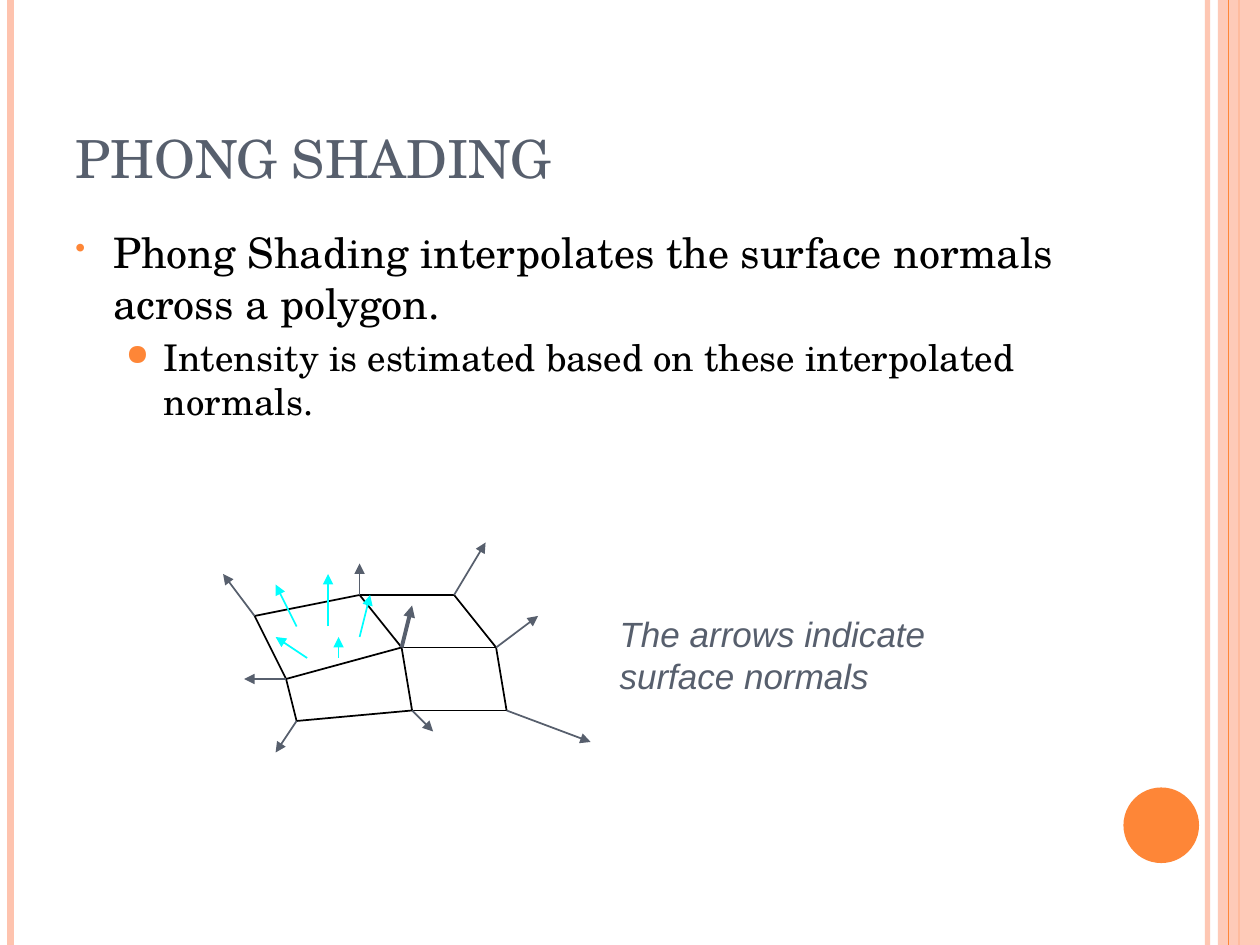
"""Build a slide that explains Phong shading with a mesh and its surface normals."""
from typing import NamedTuple

from lxml.etree import SubElement
from pptx import Presentation
from pptx.dml.color import RGBColor
from pptx.enum.shapes import MSO_CONNECTOR, MSO_SHAPE
from pptx.enum.text import MSO_ANCHOR, PP_ALIGN
from pptx.oxml.ns import qn
from pptx.util import Pt

COLORS = {
    "orange": "FE8637",
    "peach": "FEC3AE",
    "slate": "575F6D",
    "cyan": "00FFFF",
    "black": "000000",
}
SERIF = "TeX Gyre Schola"
TITLE_FONT = {"name": SERIF, "size": Pt(30)}
CAPTION_FONT = {"name": "Arial", "size": Pt(20), "italic": True}


class Rail(NamedTuple):
    x: float
    color: str
    width: float
    opacity: int = 100


class Normal(NamedTuple):
    start: tuple[float, float]
    offset: tuple[float, float]
    color: str = "slate"
    width: float = 1


class Bullet(NamedTuple):
    text: str
    symbol: str
    symbol_percent: int
    size: float
    left: float
    space_before: float


RAILS = [
    Rail(690, "peach", 3, 93),
    Rail(6, "peach", 4.5),
    Rail(708, "orange", 1.5),
    Rail(702, "orange", 0.75),
]

VERTICES = {
    "back_left": (145.5, 352),
    "back_middle": (205.5, 340),
    "back_right": (259.5, 340),
    "middle_left": (163.5, 388),
    "center": (229.5, 370),
    "middle_right": (283.5, 370),
    "front_left": (169.5, 412),
    "front_middle": (235.5, 406),
    "front_right": (289.5, 406),
}
ROWS = [
    ["back_left", "back_middle", "back_right"],
    ["middle_left", "center", "middle_right"],
    ["front_left", "front_middle", "front_right"],
]
VERTEX_OFFSETS = {
    "back_left": (-18, -24),
    "back_middle": (0, -18),
    "back_right": (18, -30),
    "middle_left": (-24, 0),
    "middle_right": (24, -18),
    "front_left": (-12, 18),
    "front_middle": (12, 12),
    "front_right": (48, 18),
}
NORMALS = [
    Normal(VERTICES["center"], (6, -24), width=2.25),
    *(Normal(VERTICES[name], offset) for name, offset in VERTEX_OFFSETS.items()),
    Normal((187.5, 358), (0, -30), "cyan"),
    Normal((205.5, 364), (6, -24), "cyan"),
    Normal((169.5, 358), (-12, -24), "cyan"),
    Normal((193.5, 376), (0, -12), "cyan"),
    Normal((175.5, 376), (-18, -12), "cyan"),
]

BULLETS = [
    Bullet("Phong Shading interpolates the surface normals across a polygon.",
           "•", 70, 24, 21.6, 0),
    Bullet("Intensity is estimated based on these interpolated normals.",
           "●", 80, 21, 50.4, 4.2),
]


def rgb(name: str) -> RGBColor:
    """Return the named colour."""
    return RGBColor.from_string(COLORS[name])


def set_opacity(properties, percent: int) -> None:
    """Make the first solid colour in the shape properties translucent."""
    color = next(properties.iter(qn("a:srgbClr")))
    SubElement(color, qn("a:alpha"), val=str(percent * 1000))


def format_font(font, color: str, values: dict) -> None:
    """Apply a colour and a dict of format values to a font."""
    font.color.rgb = rgb(color)
    for attribute, value in values.items():
        setattr(font, attribute, value)


def add_line(slide, start, end, color: str, width: float, arrow: bool = False):
    """Draw a straight line, with an arrowhead at its end if asked."""
    line = slide.shapes.add_connector(
        MSO_CONNECTOR.STRAIGHT, *(Pt(value) for value in (*start, *end)))
    line.line.color.rgb = rgb(color)
    line.line.width = Pt(width)
    properties = line._element.spPr
    if arrow:
        SubElement(properties.find(qn("a:ln")), qn("a:tailEnd"), type="triangle")
    SubElement(properties, qn("a:effectLst"))
    return line


def add_filled_shape(slide, kind, box, color: str):
    """Draw a filled preset shape without outline."""
    shape = slide.shapes.add_shape(kind, *(Pt(value) for value in box))
    shape.shadow.inherit = False
    shape.fill.solid()
    shape.fill.fore_color.rgb = rgb(color)
    shape.line.fill.background()
    return shape


def add_text_frame(slide, box):
    """Add a wrapping text box and return its text frame."""
    frame = slide.shapes.add_textbox(*(Pt(value) for value in box)).text_frame
    frame.word_wrap = True
    return frame


def add_decoration(slide) -> None:
    """Draw the side rails, the band and the disc."""
    for rail in RAILS:
        line = add_line(slide, (rail.x, 0), (rail.x, 540), rail.color, rail.width)
        if rail.opacity < 100:
            set_opacity(line._element.spPr, rail.opacity)
        if rail.x == 708:
            band = add_filled_shape(slide, MSO_SHAPE.RECTANGLE, (696, 0, 24, 540), "peach")
            set_opacity(band._element.spPr, 87)
    add_filled_shape(slide, MSO_SHAPE.OVAL, (642, 450, 43.2, 43.2), "orange")


def add_title(slide, text: str) -> None:
    """Place and format the title placeholder."""
    title = slide.shapes.title
    title.left, title.top, title.width, title.height = Pt(36), Pt(21.6), Pt(588), Pt(90)
    title.text_frame.vertical_anchor = MSO_ANCHOR.BOTTOM
    paragraph = title.text_frame.paragraphs[0]
    paragraph.text = text
    paragraph.alignment = PP_ALIGN.LEFT
    format_font(paragraph.runs[0].font, "slate", TITLE_FONT)


def add_bullets(slide) -> None:
    """Write the bulleted text."""
    frame = add_text_frame(slide, (36, 126, 588, 384))
    for index, bullet in enumerate(BULLETS):
        paragraph = frame.add_paragraph() if index else frame.paragraphs[0]
        paragraph.text = bullet.text
        paragraph.level = index
        paragraph.space_before = Pt(bullet.space_before)
        properties = paragraph._p.get_or_add_pPr()
        properties.set("marL", str(Pt(bullet.left)))
        properties.set("indent", str(Pt(-21.6)))
        color = SubElement(properties, qn("a:buClr"))
        SubElement(color, qn("a:srgbClr"), val=COLORS["orange"])
        SubElement(properties, qn("a:buSzPct"), val=str(bullet.symbol_percent * 1000))
        SubElement(properties, qn("a:buChar"), char=bullet.symbol)
        format_font(paragraph.runs[0].font, "black", {"name": SERIF, "size": Pt(bullet.size)})


def add_mesh(slide) -> None:
    """Draw the polygon edges, the normals and the caption."""
    columns = list(zip(*ROWS))
    for chain in [*ROWS, *columns]:
        for start, end in zip(chain, chain[1:]):
            add_line(slide, VERTICES[start], VERTICES[end], "black", 1)
    for normal in NORMALS:
        tip = tuple(a + b for a, b in zip(normal.start, normal.offset))
        add_line(slide, normal.start, tip, normal.color, normal.width, arrow=True)
    frame = add_text_frame(slide, (347, 346.3, 200, 55.4))
    frame.text = "The arrows indicate\nsurface normals"
    for paragraph in frame.paragraphs:
        format_font(paragraph.runs[0].font, "slate", CAPTION_FONT)


def main() -> None:
    """Build and save the presentation."""
    presentation = Presentation()
    presentation.slide_width, presentation.slide_height = Pt(720), Pt(540)
    slide = presentation.slides.add_slide(presentation.slide_layouts[5])
    add_decoration(slide)
    add_title(slide, "PHONG SHADING")
    add_bullets(slide)
    add_mesh(slide)
    presentation.save("out.pptx")


if __name__ == "__main__":
    main()
